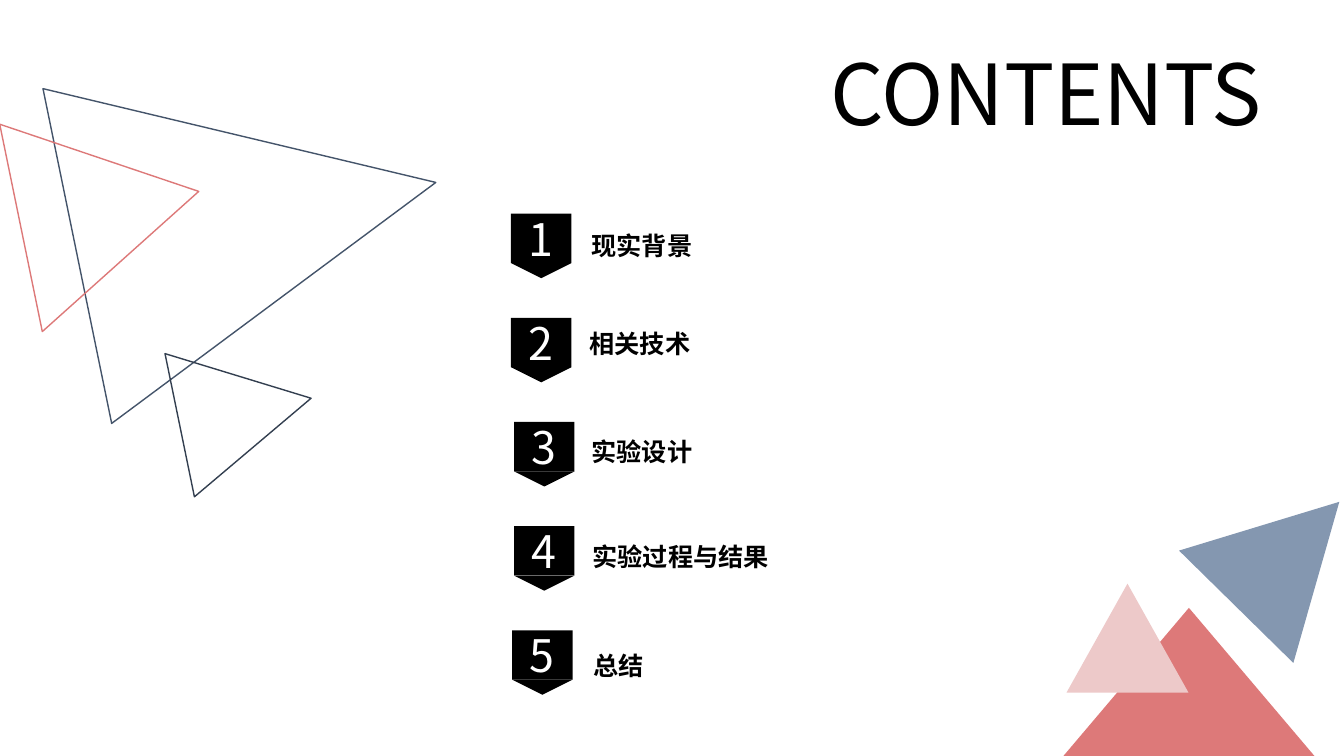
from lxml.etree import SubElement
from pptx import Presentation
from pptx.dml.color import RGBColor
from pptx.enum.shapes import MSO_SHAPE as Preset
from pptx.enum.text import MSO_ANCHOR as Anchor, MSO_AUTO_SIZE as AutoSize, PP_ALIGN as Align
from pptx.oxml.ns import qn
from pptx.util import Pt

FONT = "Noto Sans CJK SC"
COLORS = {
    "black": "000000", "white": "FFFFFF", "slate": "44546A", "navy": "333F50",
    "coral": "DD7979", "pink": "EDC9C9", "steel": "8497B0",
}


def write(frame, text, size, color="black", bold=False, align=Align.LEFT,
          anchor=Anchor.TOP, spacing=1.0):
    frame.word_wrap = True
    frame.auto_size = AutoSize.NONE
    frame.vertical_anchor = anchor
    line = frame.paragraphs[0]
    line.alignment = align
    line.line_spacing = spacing
    run = line.add_run()
    run.text = text
    run.font.name = FONT
    run.font.size = Pt(size)
    run.font.bold = bold
    run.font.color.rgb = RGBColor.from_string(COLORS[color])
    SubElement(run.font._element, qn("a:ea")).set("typeface", FONT)


def draw(preset, left, top, width, height, fill=None, line=None, rotation=0):
    shape = slide.shapes.add_shape(preset, Pt(left), Pt(top), Pt(width), Pt(height))
    shape.shadow.inherit = False
    shape.rotation = rotation
    if fill:
        shape.fill.solid()
        shape.fill.fore_color.rgb = RGBColor.from_string(COLORS[fill])
    else:
        shape.fill.background()
    if line:
        shape.line.color.rgb = RGBColor.from_string(COLORS[line])
        shape.line.width = Pt(1)
    else:
        shape.line.fill.background()
    return shape


deck = Presentation()
deck.slide_width, deck.slide_height = Pt(960), Pt(540)
slide = deck.slides.add_slide(deck.slide_layouts[5])

# Outlined triangles, top left
for left, top, width, height, line in [
    (61.2, 25.9, 244.1, 261.4, "slate"),
    (123.1, 246.2, 104.4, 95.8, "navy"),
    (2.9, 85, 151.2, 129.6, "coral"),
]:
    draw(Preset.ISOSCELES_TRIANGLE, left, top, width, height, line=line, rotation=78.4)

# Filled triangles, bottom right
for left, top, width, height, fill, rotation in [
    (759.6, 434.2, 179.3, 105.8, "coral", 0),
    (761.8, 416.9, 87.1, 77.8, "pink", 0),
    (862.6, 343.4, 114.5, 105.1, "steel", 44.5),
]:
    draw(Preset.ISOSCELES_TRIANGLE, left, top, width, height, fill=fill, rotation=rotation)

# Heading
heading = slide.shapes.title
heading.left, heading.top, heading.width, heading.height = Pt(560.9), Pt(25.9), Pt(372.2), Pt(79.9)
write(heading.text_frame, "CONTENTS", size=60, align=Align.CENTER)

# Numbered sections: name, badge left, name left, name top
BADGE_TOP, BADGE_STEP = 152.6, 74.4
BADGE_WIDTH, BADGE_HEIGHT, TIP_HEIGHT = 43.2, 35.3, 10.8
sections = [
    ("现实背景", 365, 415.4, 154.8),
    ("相关技术", 365, 414, 224.6),
    ("实验设计", 367.2, 415.4, 301.7),
    ("实验过程与结果", 367.2, 416.2, 376.6),
    ("总结", 365.8, 416.9, 454.3),
]
for index, (name, badge_left, name_left, name_top) in enumerate(sections):
    top = BADGE_TOP + index * BADGE_STEP
    badge = draw(Preset.RECTANGLE, badge_left, top, BADGE_WIDTH, BADGE_HEIGHT, fill="black")
    write(badge.text_frame, str(index + 1), size=32, color="white",
          align=Align.CENTER, anchor=Anchor.MIDDLE)
    draw(Preset.ISOSCELES_TRIANGLE, badge_left, top + BADGE_HEIGHT, BADGE_WIDTH, TIP_HEIGHT,
         fill="black", rotation=180)
    section = slide.shapes.add_textbox(Pt(name_left), Pt(name_top), Pt(256.3), Pt(35.3))
    write(section.text_frame, name, size=18, bold=True, spacing=1.3)

deck.save("out.pptx")
